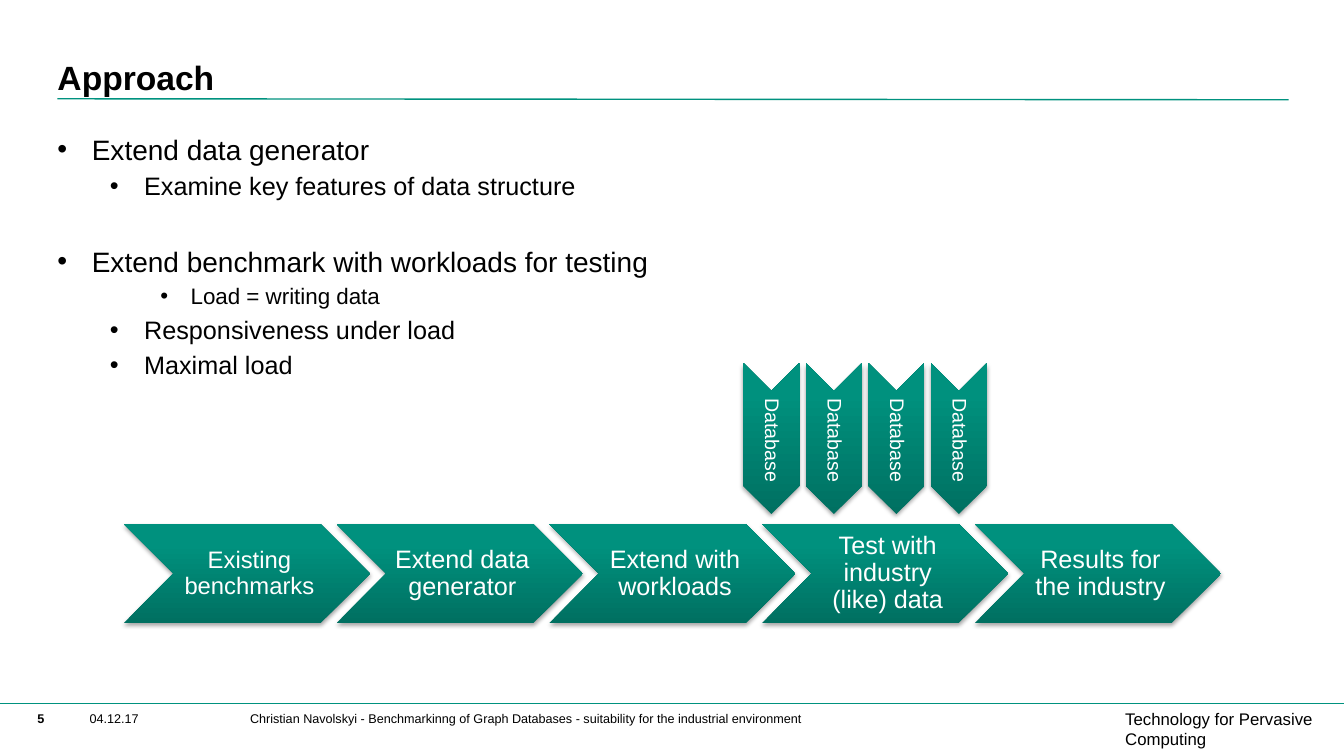
"""Build the Approach slide with its benchmark process chain."""
from dataclasses import dataclass

from pptx import Presentation
from pptx.dml.color import RGBColor
from pptx.enum.shapes import MSO_CONNECTOR as Connector, MSO_SHAPE as Shape
from pptx.enum.text import MSO_ANCHOR as Anchor, MSO_AUTO_SIZE as AutoSize, PP_ALIGN as Align
from pptx.oxml import parse_xml
from pptx.oxml.ns import nsdecls
from pptx.util import Inches, Pt


@dataclass(frozen=True)
class Theme:
    font: str = "Arial"
    ink: str = "000000"
    paper: str = "FFFFFF"
    accent: str = "00927F"
    gradient: tuple = ((0, "007061"), (80, "00917E"), (100, "00927F"))
    title: float = 24
    levels: tuple = (20, 18, 16)
    indents: tuple = ((0.34, 0.34), (0.86, 0.34), (1.32, 0.3))
    step: float = 18
    small_step: float = 17
    database: float = 14
    institute: float = 12
    footer: float = 9


def write(paragraph, text, font, size, color, bold=False, align=Align.LEFT, before=0, spacing=1.0):
    paragraph.alignment = align
    paragraph.space_before = Pt(before)
    paragraph.line_spacing = spacing
    run = paragraph.add_run()
    run.text = text
    run.font.name = font
    run.font.size = Pt(size)
    run.font.bold = bold
    run.font.color.rgb = RGBColor.from_string(color)


class SlideBuilder:
    def __init__(self, slide, theme):
        self.slide = slide
        self.theme = theme

    def place(self, shape, left, top, width, height):
        shape.left, shape.top = Inches(left), Inches(top)
        shape.width, shape.height = Inches(width), Inches(height)

    def frame(self, shape, anchor=Anchor.TOP, insets=(0, 0, 0, 0)):
        frame = shape.text_frame
        frame.word_wrap = True
        frame.auto_size = AutoSize.NONE
        frame.vertical_anchor = anchor
        (frame.margin_left, frame.margin_top,
         frame.margin_right, frame.margin_bottom) = map(Inches, insets)
        return frame

    def title(self, text, *box):
        heading = self.slide.shapes.title
        self.place(heading, *box)
        write(self.frame(heading, Anchor.BOTTOM).paragraphs[0], text,
              self.theme.font, self.theme.title, self.theme.ink, bold=True)

    def bullets(self, items, *box):
        body = self.slide.placeholders[1]
        self.place(body, *box)
        frame = self.frame(body)
        for index, (level, before, text) in enumerate(items):
            paragraph = frame.add_paragraph() if index else frame.paragraphs[0]
            paragraph.level = level
            write(paragraph, text, self.theme.font, self.theme.levels[level],
                  self.theme.ink, before=before)
            margin, hanging = self.theme.indents[level]
            properties = paragraph._p.get_or_add_pPr()
            properties.set("marL", str(Inches(margin)))
            properties.set("indent", str(-Inches(hanging)))
            properties.append(parse_xml(f'<a:buFont {nsdecls("a")} typeface="{self.theme.font}"/>'))
            properties.append(parse_xml(f'<a:buChar {nsdecls("a")} char="•"/>'))

    def label(self, text, size, *box, bold=False):
        holder = self.slide.shapes.add_textbox(*map(Inches, box))
        write(self.frame(holder).paragraphs[0], text, self.theme.font, size,
              self.theme.ink, bold=bold)

    def rule(self, *ends):
        rule = self.slide.shapes.add_connector(Connector.STRAIGHT, *map(Inches, ends))
        rule.line.color.rgb = RGBColor.from_string(self.theme.accent)
        rule.line.width = Pt(1)
        rule._element.spPr.append(parse_xml(f'<a:effectLst {nsdecls("a")}/>'))

    def chevron(self, text, size, *box, rotation=0, insets=(0.08, 0.03, 0.03, 0.03)):
        chevron = self.slide.shapes.add_shape(Shape.CHEVRON, *map(Inches, box))
        chevron.rotation = rotation
        stops = "".join(f'<a:gs pos="{position * 1000}"><a:srgbClr val="{color}"/></a:gs>'
                        for position, color in self.theme.gradient)
        properties = chevron._element.spPr
        properties.append(parse_xml(
            f'<a:gradFill {nsdecls("a")} rotWithShape="0"><a:gsLst>{stops}</a:gsLst>'
            '<a:lin ang="16200000" scaled="0"/></a:gradFill>'))
        chevron.line.fill.background()
        chevron.shadow.inherit = False
        properties[-1].append(parse_xml(
            f'<a:outerShdw {nsdecls("a")} blurRad="{Pt(3.1)}" dist="{Pt(1.8)}" dir="5400000" '
            'rotWithShape="0"><a:srgbClr val="000000"><a:alpha val="35000"/></a:srgbClr>'
            '</a:outerShdw>'))
        write(self.frame(chevron, Anchor.MIDDLE, insets).paragraphs[0], text, self.theme.font,
              size, self.theme.paper, align=Align.CENTER, spacing=0.9)


def main():
    theme = Theme()
    deck = Presentation()
    deck.slide_width, deck.slide_height = Inches(13.33), Inches(7.5)
    page = SlideBuilder(deck.slides.add_slide(deck.slide_layouts[1]), theme)

    page.title("Approach", 0.57, 0.36, 10.08, 0.61)
    page.rule(0.57, 0.98, 12.78, 0.99)
    page.bullets([
        (0, 4, "Extend data generator"),
        (1, 3.6, "Examine key features of data structure"),
        (0, 31, "Extend benchmark with workloads for testing"),
        (2, 3.2, "Load = writing data"),
        (1, 3.6, "Responsiveness under load"),
        (1, 3.6, "Maximal load"),
    ], 0.57, 1.31, 12.19, 5.35)

    for index in range(4):
        page.chevron("Database", theme.database, 6.9 + 0.62 * index, 4.07, 1.5, 0.56,
                     rotation=90, insets=(0.06, 0.02, 0.02, 0.02))

    steps = [
        ("Existing benchmarks", theme.small_step),
        ("Extend data generator", theme.step),
        ("Extend with workloads", theme.step),
        ("Test with industry (like) data", theme.step),
        ("Results for the industry", theme.step),
    ]
    for index, (step, size) in enumerate(steps):
        page.chevron(step, size, 1.23 + 2.11 * index, 5.2, 2.44, 0.98)

    page.rule(0, 6.98, 13.33, 6.98)
    page.label("5", theme.footer, 0.37, 7.05, 0.47, 0.24, bold=True)
    page.label("04.12.17", theme.footer, 0.89, 7.05, 1.26, 0.39)
    page.label("Christian Navolskyi - Benchmarkinng of Graph Databases - "
               "suitability for the industrial environment",
               theme.footer, 2.48, 7.05, 6.19, 0.39)
    page.label("Technology for Pervasive Computing", theme.institute, 11.16, 7.03, 1.92, 0.42)

    deck.save("out.pptx")


if __name__ == "__main__":
    main()
